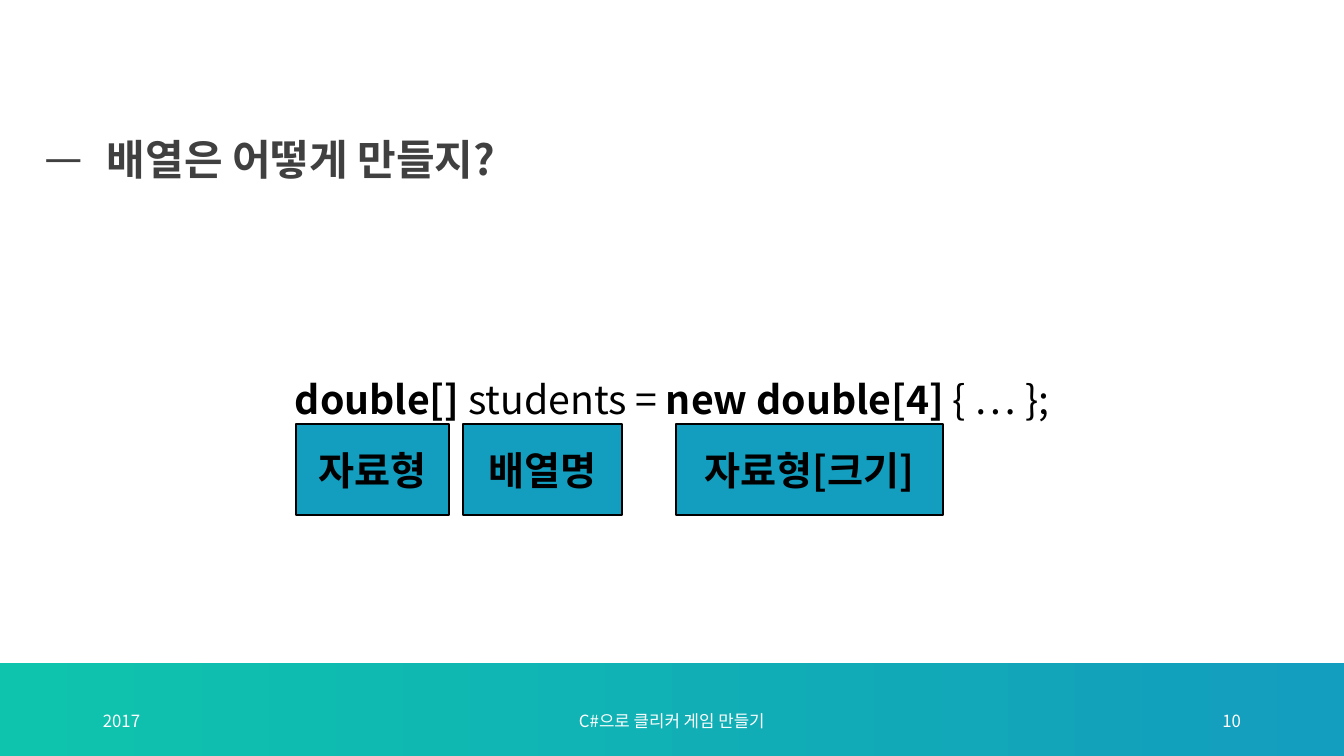
from lxml import etree
from pptx import Presentation
from pptx.dml.color import RGBColor
from pptx.enum.shapes import MSO_SHAPE
from pptx.enum.text import MSO_ANCHOR, PP_ALIGN
from pptx.oxml.ns import qn
from pptx.util import Emu, Pt

RECTANGLE = MSO_SHAPE.RECTANGLE
MIDDLE = MSO_ANCHOR.MIDDLE
LEFT, CENTER, RIGHT = PP_ALIGN.LEFT, PP_ALIGN.CENTER, PP_ALIGN.RIGHT

FONT = "Noto Sans CJK KR"
COLORS = {
    "mint": "0EC4AC",
    "blue": "139DBE",
    "white": "FFFFFF",
    "title": "404040",
    "black": "000000",
}
SLIDE_W, SLIDE_H = 1344, 756
BAND_H = 93

TITLE = "배열은 어떻게 만들지?"
TITLE_FRAME = (35, 115, 637, 93)
TITLE_INDENT = 62
TITLE_BULLET = "ￚ"

CODE = [
    ("double[] ", True),
    ("students = ", False),
    ("new double[4] ", True),
    ("{ … };", False),
]
CODE_FRAME = (103, 356, 1138, 92)

LABEL_TOP, LABEL_H = 424, 91
LABELS = [
    ("자료형", 296, 153),
    ("배열명", 463, 159),
    ("자료형[크기]", 676, 267),
]

FOOTER_TOP, FOOTER_H = 701, 40
FOOTERS = [
    ("2017", 93, 302, LEFT),
    ("C#으로 클리커 게임 만들기", 445, 454, CENTER),
    ("10", 949, 302, RIGHT),
]


def px(length):
    return Emu(round(length * 914400 / 100.8))


def color(name):
    return RGBColor.from_string(COLORS[name])


def write(box, runs, size, color_name, align):
    frame = box.text_frame
    frame.word_wrap = True
    frame.vertical_anchor = MIDDLE
    para = frame.paragraphs[0]
    para.alignment = align
    for text, bold in runs:
        span = para.add_run()
        span.text = text
        span.font.size = Pt(size)
        span.font.bold = bold
        span.font.color.rgb = color(color_name)
        span.font.name = FONT
        etree.SubElement(span.font._element, qn("a:ea"), typeface=FONT)
    return para


def add_text(page, frame, runs, size, color_name, align):
    box = page.shapes.add_textbox(*map(px, frame))
    return write(box, runs, size, color_name, align)


def add_rectangle(page, frame):
    box = page.shapes.add_shape(RECTANGLE, *map(px, frame))
    box.shadow.inherit = False
    return box


def add_band(page):
    band = add_rectangle(page, (0, SLIDE_H - BAND_H, SLIDE_W, BAND_H))
    band.fill.gradient()
    band.fill.gradient_angle = 0
    for stop, name in zip(band.fill.gradient_stops, ("mint", "blue")):
        stop.color.rgb = color(name)
    band.line.fill.background()


def add_title(page):
    para = add_text(page, TITLE_FRAME, [(TITLE, True)], 30, "title", LEFT)
    para.line_spacing = 0.9
    props = para._p.get_or_add_pPr()
    props.set("marL", str(px(TITLE_INDENT)))
    props.set("indent", str(-px(TITLE_INDENT)))
    etree.SubElement(props, qn("a:buFont"), typeface=FONT)
    etree.SubElement(props, qn("a:buChar"), char=TITLE_BULLET)


def add_label(page, text, left, width):
    box = add_rectangle(page, (left, LABEL_TOP, width, LABEL_H))
    box.fill.solid()
    box.fill.fore_color.rgb = color("blue")
    box.line.color.rgb = color("black")
    box.line.width = Pt(1)
    write(box, [(text, True)], 28, "black", CENTER)


def main():
    deck = Presentation()
    deck.slide_width, deck.slide_height = px(SLIDE_W), px(SLIDE_H)
    page = deck.slides.add_slide(deck.slide_layouts[6])

    add_band(page)
    for text, left, width, align in FOOTERS:
        frame = (left, FOOTER_TOP, width, FOOTER_H)
        add_text(page, frame, [(text, False)], 12, "white", align)
    add_title(page)
    code = add_text(page, CODE_FRAME, CODE, 28, "black", CENTER)
    code.line_spacing = 0.9
    for text, left, width in LABELS:
        add_label(page, text, left, width)

    deck.save("out.pptx")


if __name__ == "__main__":
    main()
